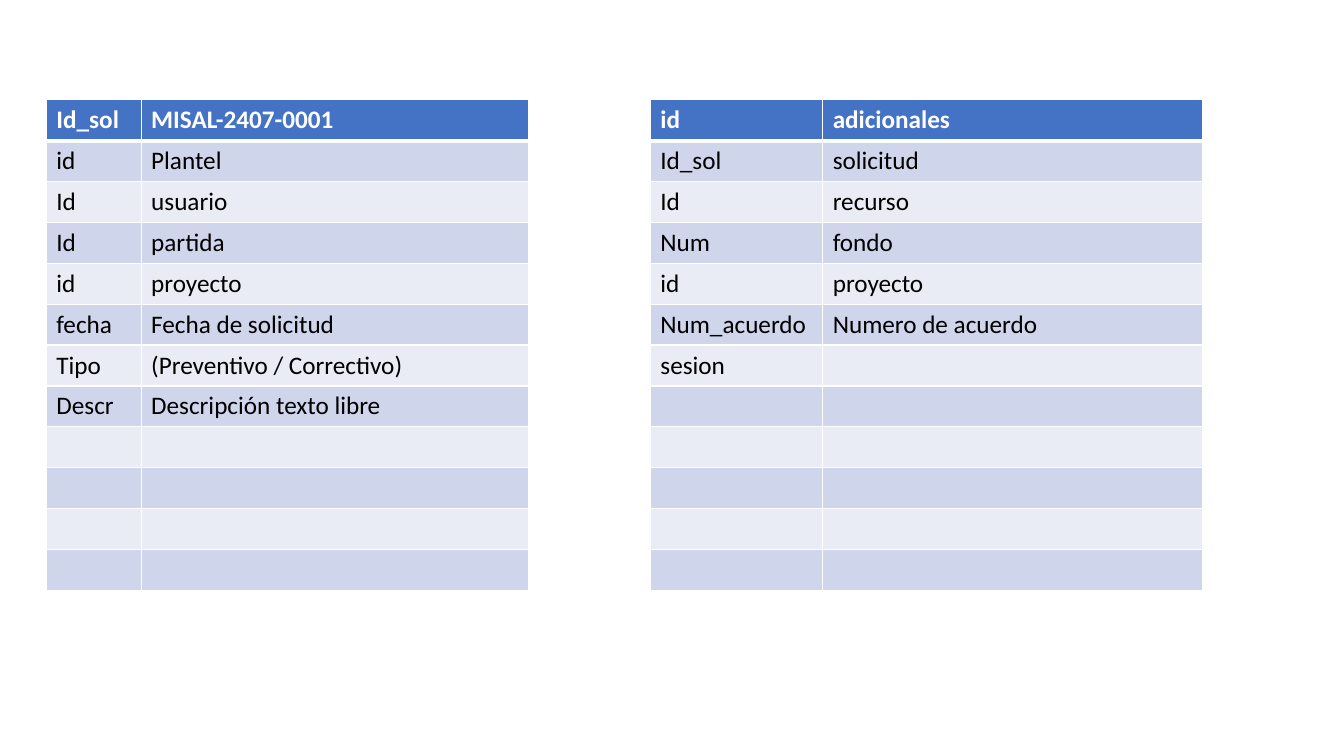
from dataclasses import dataclass

from lxml.etree import SubElement
from pptx import Presentation
from pptx.dml.color import RGBColor
from pptx.oxml.ns import qn
from pptx.slide import Slide
from pptx.table import _Cell as Cell
from pptx.util import Inches, Pt

FONT = "Calibri"
WHITE, BLACK = "FFFFFF", "000000"
HEADER_FILL = "4472C4"
BAND_FILLS = ("E9EBF5", "CFD5EA")
TABLE_TOP = 0.99
ROW_COUNT = 12
ROW_HEIGHT = 4.87 / ROW_COUNT


@dataclass(frozen=True)
class FieldTable:
    left: float
    column_widths: tuple[float, float]
    rows: tuple[tuple[str, str], ...]


FIELD_TABLES = (
    FieldTable(0.46, (0.94, 3.84), (
        ("Id_sol", "MISAL-2407-0001"),
        ("id", "Plantel"),
        ("Id", "usuario"),
        ("Id", "partida"),
        ("id", "proyecto"),
        ("fecha", "Fecha de solicitud"),
        ("Tipo", "(Preventivo / Correctivo)"),
        ("Descr", "Descripción texto libre"),
    )),
    FieldTable(6.45, (1.71, 3.77), (
        ("id", "adicionales"),
        ("Id_sol", "solicitud"),
        ("Id", "recurso"),
        ("Num", "fondo"),
        ("id", "proyecto"),
        ("Num_acuerdo", "Numero de acuerdo"),
        ("sesion", ""),
    )),
)


def color(value: str) -> RGBColor:
    return RGBColor.from_string(value)


def set_borders(cell: Cell, top: float, bottom: float) -> None:
    properties = cell._tc.get_or_add_tcPr()
    for side, width in (("L", 1), ("R", 1), ("T", top), ("B", bottom)):
        line = SubElement(properties, qn(f"a:ln{side}"), w=str(Pt(width)))
        fill = SubElement(line, qn("a:solidFill"))
        SubElement(fill, qn("a:srgbClr"), val=WHITE)


def style_cell(cell: Cell, row: int) -> None:
    # Borders precede the fill in the cell properties
    set_borders(cell, top=3 if row == 1 else 1, bottom=3 if row == 0 else 1)
    cell.fill.solid()
    cell.fill.fore_color.rgb = color(BAND_FILLS[row % 2] if row else HEADER_FILL)


def write_cell(cell: Cell, text: str, is_header: bool) -> None:
    run = cell.text_frame.paragraphs[0].add_run()
    run.text = text
    run.font.name = FONT
    run.font.size = Pt(18)
    run.font.bold = is_header
    run.font.color.rgb = color(WHITE if is_header else BLACK)


def draw_table(slide: Slide, field_table: FieldTable) -> None:
    widths = field_table.column_widths
    table = slide.shapes.add_table(
        ROW_COUNT, len(widths), Inches(field_table.left), Inches(TABLE_TOP),
        Inches(sum(widths)), Inches(ROW_HEIGHT * ROW_COUNT)).table
    for column, width in zip(table.columns, widths):
        column.width = Inches(width)
    for row_index, row in enumerate(table.rows):
        row.height = Inches(ROW_HEIGHT)
        for cell in row.cells:
            style_cell(cell, row_index)
    for row_index, texts in enumerate(field_table.rows):
        for column_index, text in enumerate(texts):
            if text:
                write_cell(table.cell(row_index, column_index), text, row_index == 0)


def main() -> None:
    presentation = Presentation()
    presentation.slide_width = Inches(13.33)
    presentation.slide_height = Inches(7.5)
    slide = presentation.slides.add_slide(presentation.slide_layouts[6])

    # Request table on the left, additional data on the right
    for field_table in FIELD_TABLES:
        draw_table(slide, field_table)

    presentation.save("out.pptx")


if __name__ == "__main__":
    main()
